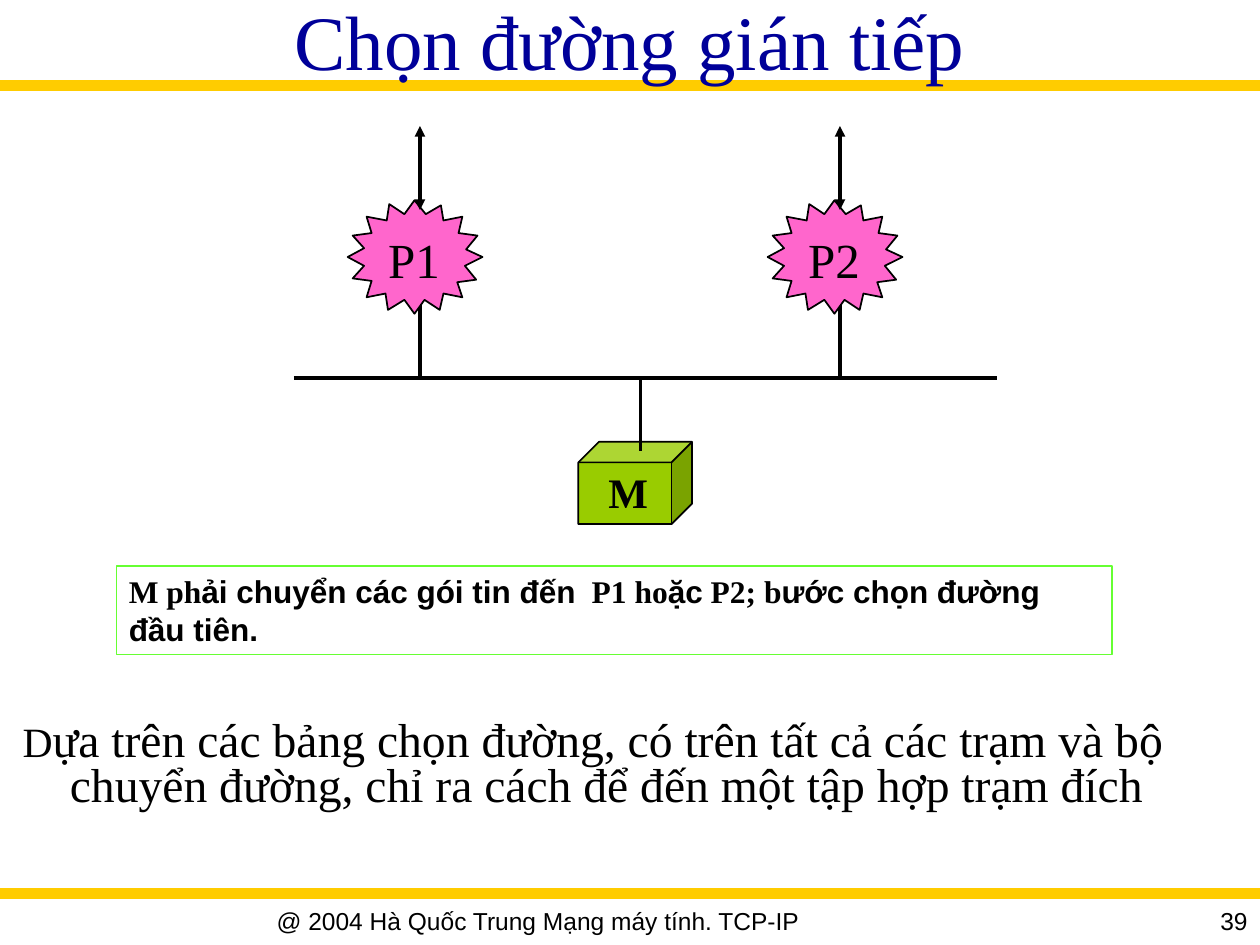
import pptx
import pptx.util
import pptx.dml.color
import pptx.enum.shapes
import pptx.enum.text
import pptx.oxml.xmlchemy

Pt = pptx.util.Pt
RGBColor = pptx.dml.color.RGBColor
Shape = pptx.enum.shapes.MSO_SHAPE
Align = pptx.enum.text.PP_ALIGN
Anchor = pptx.enum.text.MSO_ANCHOR
AutoSize = pptx.enum.text.MSO_AUTO_SIZE
OxmlElement = pptx.oxml.xmlchemy.OxmlElement

GOLD = RGBColor(0xFF, 0xCC, 0x00)
NAVY = RGBColor(0x00, 0x00, 0x99)
BLACK = RGBColor(0x00, 0x00, 0x00)
LIME = RGBColor(0x99, 0xCC, 0x00)
PINK = RGBColor(0xFF, 0x66, 0xCC)
GREEN = RGBColor(0x66, 0xFF, 0x33)

SERIF = "Times New Roman"
SANS = "Arial"

# Router outline, in units of 0.72 pt from its top left corner
BURST = [
    (0, 45), (13, 52), (4, 62), (19, 64), (15, 77), (30, 74), (32, 87), (45, 79),
    (53, 90), (61, 79), (73, 87), (76, 74), (91, 77), (87, 65), (102, 63), (93, 52),
    (107, 45), (94, 39), (103, 28), (88, 26), (91, 13), (76, 16), (74, 4), (62, 11),
    (53, 0), (45, 11), (33, 3), (31, 16), (15, 13), (19, 26), (4, 28), (13, 38),
]


class SlideBuilder:
    """Holds the slide and its shared style."""

    def __init__(self, slide):
        self.slide = slide

    def line(self, x1, y1, x2, y2, color=BLACK, width=2, arrows=False):
        connector = self.slide.shapes.add_connector(
            pptx.enum.shapes.MSO_CONNECTOR.STRAIGHT, Pt(x1), Pt(y1), Pt(x2), Pt(y2))
        connector.line.color.rgb = color
        connector.line.width = Pt(width)
        if arrows:
            outline = connector.line._get_or_add_ln()
            for end in ("a:headEnd", "a:tailEnd"):
                arrowhead = OxmlElement(end)
                arrowhead.set("type", "triangle")
                outline.append(arrowhead)
        connector._element.spPr.append(OxmlElement("a:effectLst"))

    def paint(self, shape, fill, outline):
        shape.shadow.inherit = False
        if fill is None:
            shape.fill.background()
        else:
            shape.fill.solid()
            shape.fill.fore_color.rgb = fill
        shape.line.color.rgb = outline
        shape.line.width = Pt(1)
        return shape

    def shape(self, kind, left, top, width, height, fill, outline):
        shape = self.slide.shapes.add_shape(
            kind, Pt(left), Pt(top), Pt(width), Pt(height))
        return self.paint(shape, fill, outline)

    def burst(self, left, top):
        outline = self.slide.shapes.build_freeform(*BURST[0], scale=Pt(0.72))
        outline.add_line_segments(BURST[1:], close=True)
        self.paint(outline.convert_to_shape(Pt(left), Pt(top)), PINK, BLACK)

    def set_text(self, shape, runs, size, bold=False, font=SERIF, color=BLACK,
                 align=Align.LEFT, anchor=Anchor.TOP):
        """Set one paragraph; runs are (words, own size or None, own font or None)."""
        frame = shape.text_frame
        frame.word_wrap = True
        frame.vertical_anchor = anchor
        paragraph = frame.paragraphs[0]
        paragraph.alignment = align
        paragraph.font.size = Pt(size)
        paragraph.font.bold = bold
        paragraph.font.name = font
        paragraph.font.color.rgb = color
        for words, own_size, own_font in runs:
            run = paragraph.add_run()
            run.text = words
            if own_size:
                run.font.size = Pt(own_size)
            if own_font:
                run.font.name = own_font
        return paragraph

    def text(self, left, top, width, height, runs, size, **style):
        box = self.slide.shapes.add_textbox(Pt(left), Pt(top), Pt(width), Pt(height))
        if isinstance(runs, str):
            runs = [(runs, None, None)]
        return self.set_text(box, runs, size, **style)

    def label(self, left, top, width, height, words, size, bold=False):
        box = self.slide.shapes.add_textbox(Pt(left), Pt(top), Pt(width), Pt(height))
        self.set_text(box, [(words, None, None)], size, bold=bold)
        box.text_frame.word_wrap = False
        box.text_frame.auto_size = AutoSize.SHAPE_TO_FIT_TEXT


def main():
    deck = pptx.Presentation()
    deck.slide_width, deck.slide_height = Pt(720), Pt(540)
    page = SlideBuilder(deck.slides.add_slide(deck.slide_layouts[6]))

    # Gold rules and title
    for rule_y in (49, 510.5):
        page.line(0, rule_y, 720, rule_y, GOLD, 6)
    page.text(0, -2, 720, 49.7, "Chọn đường gián tiếp", 44, color=NAVY,
              align=Align.CENTER, anchor=Anchor.MIDDLE)

    # Explanation with hanging indent
    explanation = page.text(5.8, 408.2, 714.2, 84.2, [
        ("D", 23.8, None),
        ("ựa trên các bảng chọn đường, có trên tất cả các trạm và bộ chuyển đường, "
         "chỉ ra cách để đến một tập hợp trạm đích", None, None),
    ], 27.2)
    explanation.line_spacing = 0.8
    explanation.space_before = Pt(8)
    indents = explanation._p.get_or_add_pPr()
    indents.set("marL", str(Pt(27)))
    indents.set("indent", str(Pt(-27)))

    # Shared network and host M
    bus_y = 216
    page.line(168, bus_y, 570, bus_y)
    page.shape(Shape.CUBE, 330.5, 252.5, 65, 47, LIME, BLACK)
    page.line(366, bus_y, 366, 258)
    page.label(340.5, 263, 37.5, 36, "M", 24, bold=True)

    # Routers with their links
    for router, link_x in (("P1", 240), ("P2", 480)):
        page.line(link_x, 174, link_x, bus_y)
        page.burst(link_x - 41.3, 114.5)
        page.label(link_x - 25.3, 127.5, 44, 41, router, 28)
        page.line(link_x, 72, link_x, 120, arrows=True)

    # Framed note
    note = page.shape(Shape.RECTANGLE, 66.5, 323.5, 569, 50.5, None, GREEN)
    note_text = page.set_text(note, [
        ("M ph", None, None),
        ("ải chuyển các gói tin đến", None, SANS),
        ("  P1 ho", None, None),
        ("ặc", None, SANS),
        (" P2; b", None, None),
        ("ước chọn đường đầu tiên.", None, SANS),
    ], 18, bold=True)
    note_text.space_before = Pt(11.2)

    # Footer and page number
    page.text(0, 514, 615, 26, "@ 2004 Hà Quốc Trung Mạng máy tính. TCP-IP", 14,
              font=SANS, align=Align.CENTER)
    page.text(617.8, 514, 102.2, 22.3, "39", 14, font=SANS, align=Align.RIGHT)

    deck.save("out.pptx")


if __name__ == "__main__":
    main()
